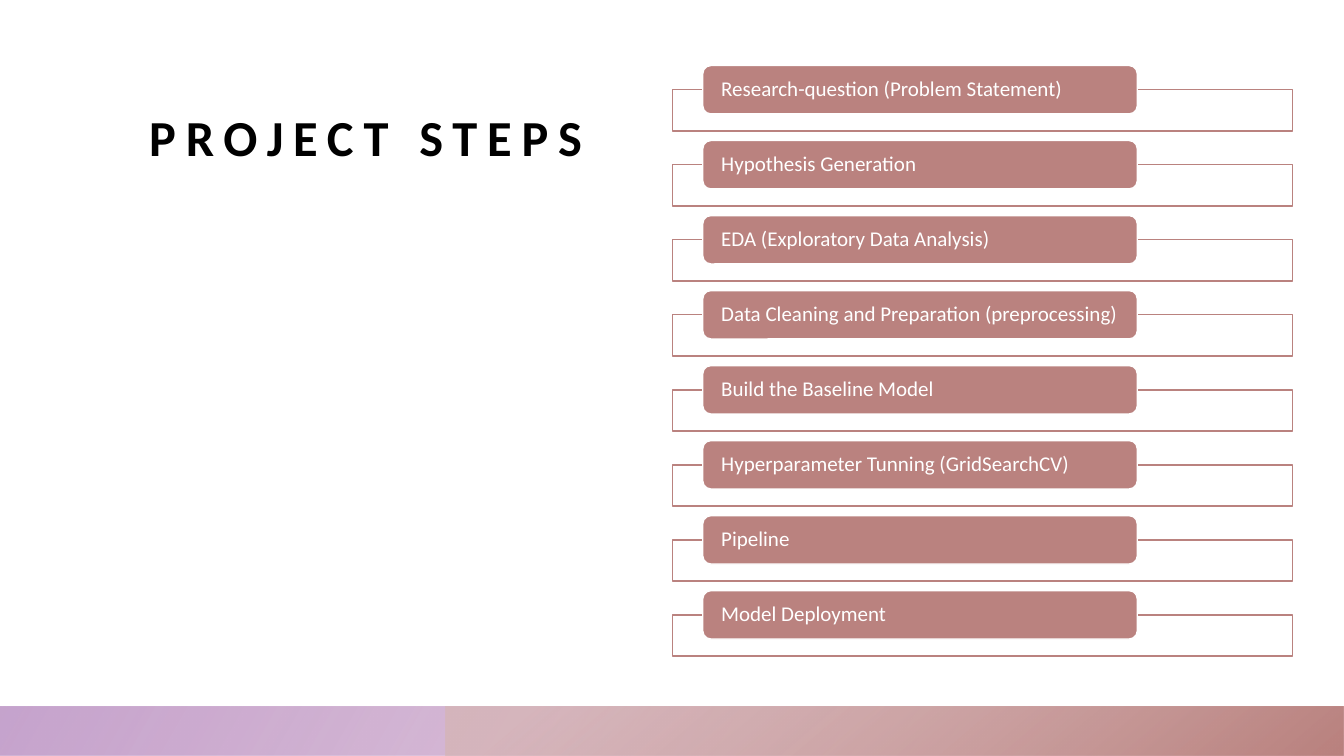
from lxml.etree import SubElement
from pptx import Presentation
from pptx.dml.color import RGBColor
from pptx.enum.shapes import MSO_SHAPE
from pptx.enum.text import MSO_ANCHOR, PP_ALIGN
from pptx.oxml.ns import qn
from pptx.util import Inches, Pt

WIDE, HIGH = 13.33, 7.5
FONT = "Calibri"
BLACK = RGBColor(0x00, 0x00, 0x00)
WHITE = RGBColor(0xFF, 0xFF, 0xFF)
ROSE = RGBColor(0xBA, 0x82, 0x7F)
BLUSH = RGBColor(0xD6, 0xB4, 0xB2)
MAUVE = RGBColor(0xBA, 0x7F, 0xAD)
LILAC = RGBColor(0xBC, 0x94, 0xC5)

STEPS = [
    "Research-question (Problem Statement)",
    "Hypothesis Generation",
    "EDA (Exploratory Data Analysis)",
    "Data Cleaning and Preparation (preprocessing)",
    "Build the Baseline Model",
    "Hyperparameter Tunning (GridSearchCV)",
    "Pipeline",
    "Model Deployment",
]

# Step grid: first row, last row and the even pitch between them
TOP, LAST = 0.65, 5.86
PITCH = (LAST - TOP) / (len(STEPS) - 1)
DROP = 0.24  # from the top of a label to the top of its frame

# Footer
BAND = 0.49
SPLIT = WIDE * 0.33 + 0.02


def add_box(slide, kind, left, top, width, height):
    box = slide.shapes.add_shape(
        kind, Inches(left), Inches(top), Inches(width), Inches(height))
    box.shadow.inherit = False
    return box


def set_alpha(color, share):
    SubElement(color, qn("a:alpha")).set("val", str(share * 1000))


def style(run, size, color, bold=False):
    font = run.font
    font.name, font.size, font.bold = FONT, Pt(size), bold
    font.color.rgb = color


def add_title(slide, text):
    title = slide.shapes.title
    title.left, title.top = Inches(1.48), Inches(1.02)
    title.width, title.height = Inches(5.02), Inches(4.99)
    frame = title.text_frame
    frame.text = text
    frame.word_wrap = True
    frame.vertical_anchor = MSO_ANCHOR.TOP
    frame.margin_left = frame.margin_right = 0
    frame.margin_top = frame.margin_bottom = 0
    line = frame.paragraphs[0]
    line.alignment = PP_ALIGN.LEFT
    line.line_spacing = 1.05
    run = line.runs[0]
    style(run, 36, BLACK, bold=True)
    run.font._element.set("spc", "700")


def add_band(slide, left, angle, stops):
    """Footer band; each stop is (position, colour, opacity in percent)."""
    band = add_box(slide, MSO_SHAPE.RECTANGLE,
                   left, HIGH - BAND, WIDE - left, BAND)
    band.line.fill.background()
    band.fill.gradient()
    band.fill.gradient_angle = angle
    for stop, (place, color, share) in zip(band.fill.gradient_stops, stops):
        stop.position = place
        stop.color.rgb = color
    colors = list(band._element.spPr.iter(qn("a:srgbClr")))
    for color, (place, tint, share) in zip(colors, stops):
        set_alpha(color, share)


def add_step(slide, row, text):
    top = TOP + row * PITCH

    # Open frame behind the label
    frame = add_box(slide, MSO_SHAPE.RECTANGLE, 6.67, top + DROP, 6.15, 0.41)
    frame.fill.solid()
    frame.fill.fore_color.rgb = WHITE
    set_alpha(next(frame._element.spPr.iter(qn("a:srgbClr"))), 90)
    frame.line.color.rgb = ROSE
    frame.line.width = Pt(1)

    # Label
    label = add_box(slide, MSO_SHAPE.ROUNDED_RECTANGLE, 6.97, top, 4.31, 0.48)
    label.fill.solid()
    label.fill.fore_color.rgb = ROSE
    label.line.color.rgb = WHITE
    label.line.width = Pt(1)
    body = label.text_frame
    body.text = text
    body.word_wrap = True
    body.vertical_anchor = MSO_ANCHOR.MIDDLE
    body.margin_left = body.margin_right = Inches(0.16)
    body.margin_top = body.margin_bottom = 0
    line = body.paragraphs[0]
    line.alignment = PP_ALIGN.LEFT
    line.line_spacing = 0.9
    style(line.runs[0], 15, WHITE)


def main():
    deck = Presentation()
    deck.slide_width, deck.slide_height = Inches(WIDE), Inches(HIGH)
    slide = deck.slides.add_slide(deck.slide_layouts.get_by_name("Title Only"))

    add_title(slide, "PROJECT STEPS")

    # Footer: lilac across the slide, rose over its right part
    add_band(slide, 0, 150, [(0.14, MAUVE, 28), (1, LILAC, 85)])
    add_band(slide, SPLIT, 310, [(0.09, BLUSH, 68), (0.99, ROSE, 100)])

    for row, text in enumerate(STEPS):
        add_step(slide, row, text)

    deck.save("out.pptx")


if __name__ == "__main__":
    main()
